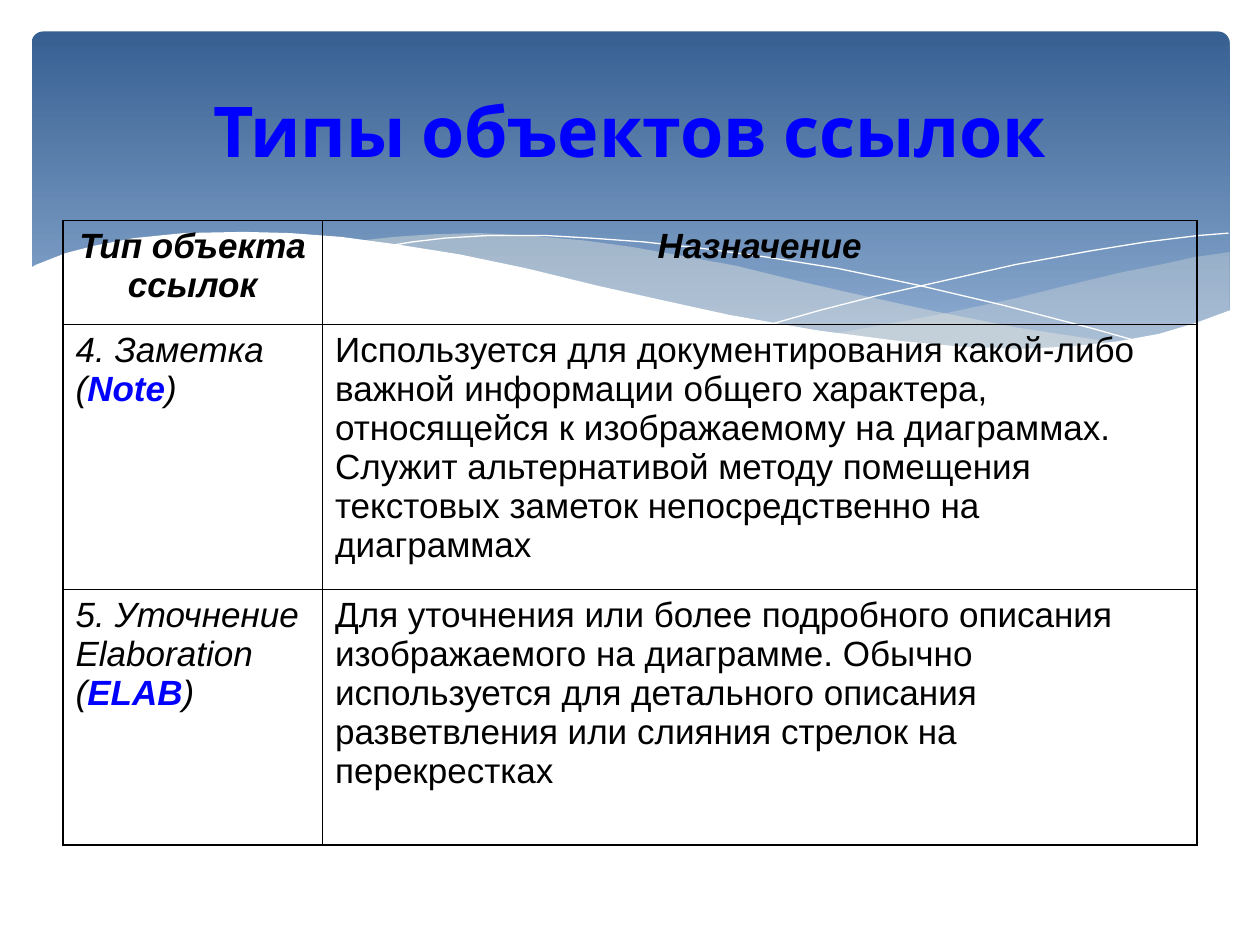
from dataclasses import dataclass

from lxml.etree import SubElement
from pptx import Presentation
from pptx.dml.color import RGBColor
from pptx.enum.shapes import MSO_SHAPE
from pptx.enum.text import MSO_ANCHOR, PP_ALIGN
from pptx.oxml import parse_xml
from pptx.oxml.ns import nsdecls, qn
from pptx.util import Pt


@dataclass(frozen=True)
class Theme:
    sky_top: str = "376092"
    sky_bottom: str = "95B3D7"
    haze: str = "EEECE1"
    white: str = "FFFFFF"
    ink: str = "000000"
    accent: str = "0000FF"
    title_font: str = "Cabin"
    body_font: str = "Arial"
    title_size: float = 40
    body_size: float = 20
    outer_border: float = 1.08
    inner_border: float = 0.45


RIGHT_BAND = [
    (702.7, 144), (682.6, 146.9), (663.1, 151.2), (641.5, 155.5), (619.9, 160.6),
    (579.6, 170.6), (542.2, 178.6), (508.3, 185), (475.9, 190.8), (497.5, 193.7),
    (517, 196.6), (536.4, 198), (562.3, 199.4), (586.1, 200.2), (614.9, 198.7),
    (640.1, 195.8), (663.1, 190.8), (683.3, 185), (702.7, 177.8),
]
MIDDLE_BAND = [
    (643, 196.6), (623.5, 193.7), (581, 187.2), (533.5, 177.8), (481, 166.3),
    (452.9, 159.8), (420.5, 151.9), (389.5, 146.2), (360.7, 141.1), (334.1, 137.5),
    (302.4, 134.6), (273.6, 133.2), (247.7, 133.9), (225.4, 135.4), (205.9, 137.5),
    (232.6, 141.1), (260.6, 146.2), (290.9, 151.9), (323.3, 159.8), (381.6, 172.8),
    (420.5, 181.4), (456.5, 187.9), (489.6, 193), (519.8, 197.3), (547.9, 199.4),
    (573.1, 200.9), (596.2, 200.2), (617, 199.4),
]
FALLING_LINE = [
    (222.5, 140.4), (236.2, 138.2), (254.2, 136.1), (278.6, 134.6), (311.8, 134.6),
    (337.7, 136.1), (367.2, 138.2), (400.3, 141.8), (437.8, 146.9), (478.8, 153.4),
    (523.4, 162.7), (572.4, 174.2), (625, 187.9), (653, 195.8),
]
RISING_LINE = [
    (441.4, 185), (469.4, 177.1), (500.4, 169.2), (538.6, 160.6), (580.3, 151.2),
    (623.5, 143.3), (655.2, 138.2), (684.7, 134.6), (702, 133.2),
]
WHITE_WAVE = [
    (703.4, 177.1), (684, 184.3), (662.4, 190.8), (638.6, 195.1), (612, 198),
    (582.5, 199.4), (547.9, 198), (509.8, 194.4), (465.8, 188.6), (416.9, 180),
    (380.9, 172.1), (342, 163.4), (301, 153.4), (262.8, 145.4), (226.8, 139.7),
    (195.1, 135.4), (165.6, 133.2), (139, 132.5), (105.1, 133.2), (76.3, 136.1),
    (54, 140.4), (37.4, 144.7), (20.9, 151.2), (16.6, 153.4), (16.6, 236.9),
    (703.4, 236.9),
]

# Each cell is a list of (text, style) spans: b bold, i italic, a accent colour.
ROWS = [
    [[("Тип объекта ссылок", "bi")], [("Назначение", "bi")]],
    [
        [("4. Заметка (", "i"), ("Note", "bia"), (")", "i")],
        [("Используется для документирования какой-либо важной информации общего "
          "характера, относящейся к изображаемому на диаграммах. Служит альтернативой "
          "методу помещения текстовых заметок непосредственно на диаграммах", "")],
    ],
    [
        [("5. Уточнение Elaboration (", "i"), ("ELAB", "bia"), (")", "i")],
        [("Для уточнения или более подробного описания изображаемого на диаграмме. "
          "Обычно используется для детального описания разветвления или слияния "
          "стрелок на перекрестках", "")],
    ],
]


class SlideBuilder:
    def __init__(self, slide, theme):
        self.shapes = slide.shapes
        self.theme = theme

    def backdrop(self, left, top, width, height):
        shape = self.shapes.add_shape(
            MSO_SHAPE.ROUNDED_RECTANGLE, Pt(left), Pt(top), Pt(width), Pt(height))
        shape.adjustments[0] = 0.034
        shape.shadow.inherit = False
        shape.line.fill.background()
        shape.fill.gradient()
        shape.fill.gradient_angle = 270
        colors = (self.theme.sky_top, self.theme.sky_bottom)
        for position, (stop, color) in enumerate(zip(shape.fill.gradient_stops, colors)):
            stop.position = position
            stop.color.rgb = RGBColor.from_string(color)

    def outline(self, points, close):
        start, *rest = [(Pt(x), Pt(y)) for x, y in points]
        builder = self.shapes.build_freeform(*start)
        builder.add_line_segments(rest, close=close)
        shape = builder.convert_to_shape()
        shape.shadow.inherit = False
        return shape

    def wave(self, points, color, opacity=100):
        shape = self.outline(points, close=True)
        shape.line.fill.background()
        shape.fill.solid()
        shape.fill.fore_color.rgb = RGBColor.from_string(color)
        if opacity < 100:
            color_element = shape.fill._xPr.find(".//" + qn("a:srgbClr"))
            SubElement(color_element, qn("a:alpha"), val=str(opacity * 1000))

    def hairline(self, points):
        shape = self.outline(points, close=False)
        shape.fill.background()
        shape.line.color.rgb = RGBColor.from_string(self.theme.white)
        shape.line.width = Pt(0)

    def style_span(self, span, font, size, style):
        span.font.name = font
        span.font.size = Pt(size)
        span.font.bold = "b" in style
        span.font.italic = "i" in style
        color = self.theme.accent if "a" in style else self.theme.ink
        span.font.color.rgb = RGBColor.from_string(color)

    def title(self, text, left, top, width, height):
        box = self.shapes.add_textbox(Pt(left), Pt(top), Pt(width), Pt(height))
        frame = box.text_frame
        frame.word_wrap = True
        frame.vertical_anchor = MSO_ANCHOR.MIDDLE
        frame.text = text
        para = frame.paragraphs[0]
        para.alignment = PP_ALIGN.CENTER
        self.style_span(para.runs[0], self.theme.title_font, self.theme.title_size, "ba")

    def border(self, cell, widths):
        """Draw the left, right, top and bottom edges, in that order."""
        properties = cell._tc.get_or_add_tcPr()
        for index, (side, width) in enumerate(zip("LRTB", widths)):
            properties.insert(index, parse_xml(
                f'<a:ln{side} {nsdecls("a")} w="{Pt(width)}"><a:solidFill>'
                f'<a:srgbClr val="{self.theme.ink}"/></a:solidFill></a:ln{side}>'))

    def table(self, rows, left, top, widths, heights):
        table = self.shapes.add_table(
            len(rows), len(widths), Pt(left), Pt(top),
            Pt(sum(widths)), Pt(sum(heights))).table
        table.first_row = table.horz_banding = False
        for column, width in zip(table.columns, widths):
            column.width = Pt(width)
        for row, height in zip(table.rows, heights):
            row.height = Pt(height)
        outer, inner = self.theme.outer_border, self.theme.inner_border
        for r, row in enumerate(rows):
            for c, spans in enumerate(row):
                cell = table.cell(r, c)
                cell.fill.background()
                self.border(cell, (
                    outer if c == 0 else inner,
                    outer if c == len(widths) - 1 else inner,
                    inner,
                    outer if r == len(rows) - 1 else inner))
                para = cell.text_frame.paragraphs[0]
                para.alignment = PP_ALIGN.CENTER if r == 0 else PP_ALIGN.LEFT
                for text, style in spans:
                    span = para.add_run()
                    span.text = text
                    self.style_span(span, self.theme.body_font, self.theme.body_size, style)


def main():
    deck = Presentation()
    deck.slide_width, deck.slide_height = Pt(720), Pt(540)
    theme = Theme()
    builder = SlideBuilder(deck.slides.add_slide(deck.slide_layouts[6]), theme)
    builder.backdrop(18, 18, 684.7, 194.4)
    builder.wave(RIGHT_BAND, theme.haze, opacity=29)
    builder.wave(MIDDLE_BAND, theme.haze, opacity=40)
    builder.hairline(FALLING_LINE)
    builder.hairline(RISING_LINE)
    builder.wave(WHITE_WAVE, theme.white)
    builder.title("Типы объектов ссылок", 36, 36, 648, 75.6)
    builder.table(ROWS, 36, 126, widths=(148.3, 499.7), heights=(59.4, 151.4, 146.2))
    deck.save("out.pptx")


if __name__ == "__main__":
    main()
